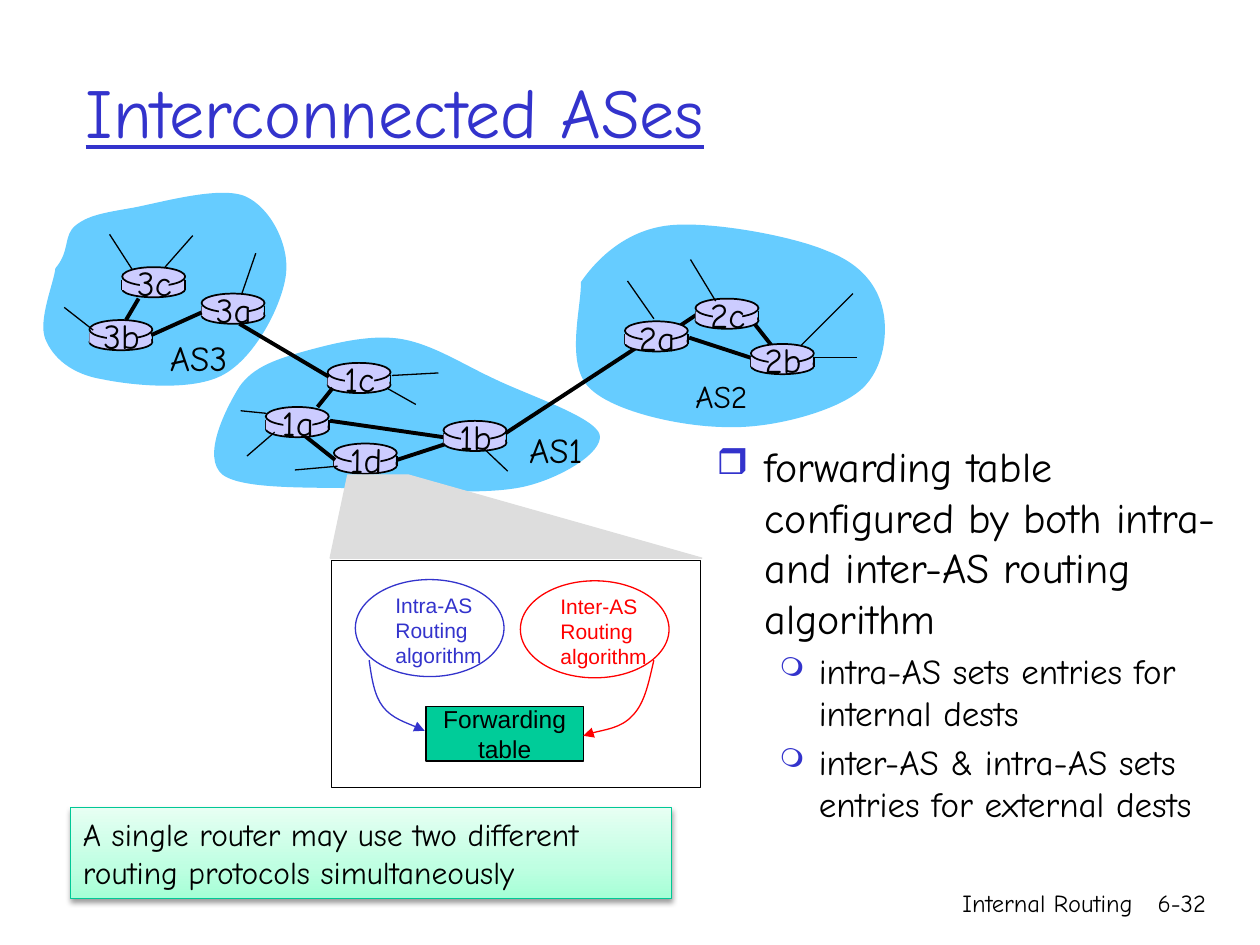
import copy

import pptx
import pptx.dml.color
import pptx.enum.shapes
import pptx.enum.text
import pptx.oxml
import pptx.oxml.ns
import pptx.util
from lxml import etree

RGB = pptx.dml.color.RGBColor
BLACK = RGB(0, 0, 0)
BLUE = RGB(0x33, 0x33, 0xCC)
RED = RGB(0xFF, 0, 0)
SKY = RGB(0x66, 0xCC, 0xFF)
LILAC = RGB(0xCC, 0xCC, 0xFF)
GREY = RGB(0xDD, 0xDD, 0xDD)
GREEN = RGB(0, 0xCC, 0x99)
EDGE = RGB(0, 0xC8, 0x96)
MINT = ((0, RGB(0xA5, 0xFF, 0xD6)), (0.35, RGB(0xBF, 0xFF, 0xE2)),
        (1, RGB(0xE7, 0xFF, 0xF3)))

SCALE = 9144  # EMU in one px, 100 px to the inch
HAND, SANS = "Comic Neue", "Arial"
SHAPE = pptx.enum.shapes.MSO_SHAPE
ALIGN = pptx.enum.text.PP_ALIGN
MIDDLE = pptx.enum.text.MSO_ANCHOR.MIDDLE
qn = pptx.oxml.ns.qn


def px(*nums):
    return [num * SCALE for num in nums]


def add(parent, tag, **attrs):
    return etree.SubElement(parent, qn(tag), {k: str(v) for k, v in attrs.items()})


def write(frame, text, size=20, color=BLACK, font=HAND, align=ALIGN.LEFT,
          under=False, bullet=None, scale=100, indent=(0, 0), before=0):
    """Add each line of the text as a paragraph."""
    for line in text.split("\n"):
        para = frame.add_paragraph() if frame.text else frame.paragraphs[0]
        para.alignment = align
        para.space_before = pptx.util.Pt(before)
        run = para.add_run()
        run.text = line
        run.font.size = pptx.util.Pt(size)
        run.font.name = font
        run.font.color.rgb = color
        run.font.underline = under
        if bullet:
            props = para._p.get_or_add_pPr()
            left, first = px(*indent)
            props.set("marL", str(left))
            props.set("indent", str(first))
            add(add(props, "a:buClr"), "a:srgbClr", val=BLUE)
            add(props, "a:buSzPct", val=scale * 1000)
            add(props, "a:buChar", char=bullet)


class Board:
    def __init__(self, slide):
        self.slide = slide
        self.shapes = slide.shapes

    def paint(self, shape, fill, line, width):
        shape.shadow.inherit = False
        if fill is None:
            shape.fill.background()
        else:
            shape.fill.solid()
            shape.fill.fore_color.rgb = fill
        if line is None:
            shape.line.fill.background()
        else:
            shape.line.color.rgb = line
            shape.line.width = pptx.util.Pt(width)
        return shape

    def title(self, text, box):
        shape = self.shapes.title
        shape.left, shape.top, shape.width, shape.height = px(*box)
        shape.text_frame.vertical_anchor = MIDDLE
        write(shape.text_frame, text, size=40, color=BLUE, under=True)

    def label(self, text, box, wrap=False, **style):
        frame = self.shapes.add_textbox(*px(*box)).text_frame
        frame.word_wrap = wrap
        write(frame, text, **style)
        return frame

    def form(self, kind, box, fill=None, line=None, width=0.75):
        return self.paint(self.shapes.add_shape(kind, *px(*box)), fill, line, width)

    def line(self, x1, y1, x2, y2, width=0.75):
        link = self.shapes.add_connector(
            pptx.enum.shapes.MSO_CONNECTOR.STRAIGHT, *px(x1, y1, x2, y2))
        link.line.color.rgb = BLACK
        link.line.width = pptx.util.Pt(width)
        add(link._element.spPr, "a:effectLst")

    def trace(self, points, fill=None, line=None, curve=False, arrow=False):
        """Draw an outline; a curve takes its points as cubic triples."""
        pen = self.shapes.build_freeform(*points[0], scale=SCALE)
        pen.add_line_segments(points[1:], close=fill is not None)
        shape = self.paint(pen.convert_to_shape(), fill, line, 0.75)
        if curve:
            steps = list(shape._element.iter(qn("a:lnTo")))
            for i in range(0, len(points) - 1, 3):
                bend = pptx.oxml.parse_xml(
                    f'<a:cubicBezTo {pptx.oxml.ns.nsdecls("a")}/>')
                steps[i].addprevious(bend)
                for step in steps[i:i + 3]:
                    bend.append(step[0])
                    step.getparent().remove(step)
        if arrow:
            add(shape.line._get_or_add_ln(), "a:tailEnd", type="triangle")

    def router(self, name, x, y):
        self.form(SHAPE.OVAL, (x, y + 11, 50, 13), LILAC, BLACK, 1)
        for side in (x, x + 50):
            self.line(side, y + 10, side, y + 18, 1)
        self.form(SHAPE.RECTANGLE, (x, y + 10, 49, 8), LILAC)
        self.form(SHAPE.OVAL, (x, y, 50, 15), LILAC, BLACK, 1)
        self.form(SHAPE.RECTANGLE, (x + 14, y + 2, 23, 19), LILAC)
        self.label(name, (x, y - 9, 51, 43), align=ALIGN.CENTER)

    def note(self, text, box):
        shape = self.form(SHAPE.RECTANGLE, box, LILAC, EDGE)
        shape.fill.gradient()
        shape.fill.gradient_angle = 90
        stops = next(shape._element.iter(qn("a:gsLst")))
        stops.append(copy.deepcopy(stops[0]))
        for stop, (place, color) in zip(shape.fill.gradient_stops, MINT):
            stop.position = place
            stop.color.rgb = color
        glow = add(shape._element.spPr.find(qn("a:effectLst")), "a:outerShdw",
                   blurRad=39370, dist=20320, dir=5400000, rotWithShape=0)
        add(add(glow, "a:srgbClr", val=BLACK), "a:alpha", val=38000)
        shape.text_frame.word_wrap = True
        write(shape.text_frame, text, size=18)


CLOUDS = (
    # AS2
    [(461, 224), (474, 205), (497, 183), (530, 179), (562, 175), (628, 187),
     (656, 199), (685, 210), (697, 228), (701, 247), (705, 266), (701, 297),
     (680, 312), (660, 327), (613, 340), (578, 339), (542, 339), (487, 327),
     (468, 308), (448, 289), (462, 242), (461, 224)],
    # AS3
    [(44, 213), (56, 199), (50, 187), (60, 179), (70, 171), (82, 169),
     (105, 165), (127, 161), (175, 147), (195, 156), (215, 165), (230, 195),
     (227, 218), (224, 242), (203, 283), (178, 297), (154, 311), (105, 306),
     (81, 301), (57, 297), (42, 284), (36, 269), (30, 254), (43, 224), (44, 213)],
    # AS1
    [(190, 307), (201, 291), (220, 285), (241, 279), (263, 273), (293, 265),
     (318, 269), (343, 273), (367, 289), (393, 301), (420, 314), (472, 331),
     (476, 345), (479, 359), (446, 379), (417, 386), (387, 393), (339, 389),
     (299, 388), (259, 386), (195, 390), (177, 377), (159, 363), (180, 323),
     (190, 307)],
)
BACK = (("3b", 71, 254), ("1d", 265, 352), ("3a", 160, 233), ("1c", 260, 288))
FRONT = (("2a", 496, 255), ("1a", 211, 323), ("2c", 552, 237),
         ("2b", 596, 273), ("1b", 352, 334), ("3c", 97, 212))
LINKS = (
    (547, 268, 596, 284), (598, 256, 613, 275), (536, 261, 554, 249),
    (315, 365, 358, 351), (242, 346, 266, 365), (262, 334, 352, 347),
    (252, 323, 264, 308), (120, 266, 160, 248), (190, 257, 261, 299),
    (401, 344, 505, 276), (110, 237, 100, 254))
STUBS = (
    (51, 244, 74, 262), (153, 187, 131, 212), (87, 186, 105, 214),
    (203, 201, 192, 233), (645, 284, 680, 284), (636, 274, 677, 233),
    (568, 239, 548, 206), (519, 253, 498, 223), (218, 343, 196, 362),
    (211, 328, 191, 326), (268, 370, 234, 373), (311, 298, 348, 296),
    (384, 356, 403, 374), (307, 308, 330, 321))


def main():
    deck = pptx.Presentation()
    deck.slide_width, deck.slide_height = px(1000, 750)
    board = Board(deck.slides.add_slide(deck.slide_layouts[5]))
    board.title("Interconnected ASes", (58, 25, 850, 125))

    # Bullets
    body = board.label(
        "forwarding table configured by both intra- and inter-AS routing algorithm",
        (559, 345, 417, 372), wrap=True, size=24, bullet="❒", scale=85,
        indent=(38, -38), before=5)
    write(body, "intra-AS sets entries for internal dests\n"
          "inter-AS & intra-AS sets entries for external dests",
          bullet="❍", scale=75, indent=(81, -31), before=4)

    # Footer
    for text, box in (("Internal Routing", (592, 700, 317, 50)),
                      ("6-32", (893, 700, 74, 50))):
        board.label(text, box, wrap=True, size=14, align=ALIGN.RIGHT)

    # Network
    for cloud in CLOUDS:
        board.trace(cloud, fill=SKY, curve=True)
    for spot in BACK:
        board.router(*spot)
    for link in LINKS:
        board.line(*link, width=2.25)
    for spot in FRONT:
        board.router(*spot)
    for stub in STUBS:
        board.line(*stub)
    for name, box, size in (("AS3", (125, 262, 77, 43), 20),
                            ("AS1", (410, 335, 72, 43), 20),
                            ("AS2", (542, 294, 71, 40), 18)):
        board.label(name, box, size=size)

    # Zoom into router 1d
    board.trace([(262, 443), (276, 377), (324, 377), (557, 443)], GREY, GREY)
    board.form(SHAPE.RECTANGLE, (263, 445, 293, 180), line=BLACK)
    for kind, x, y, color in (("Intra", 282, 460, BLUE), ("Inter", 413, 461, RED)):
        board.form(SHAPE.OVAL, (x, y, 118, 77), line=color)
        board.label(f"{kind}-AS\nRouting\nalgorithm", (x + 22, y + 5, 100, 70),
                    wrap=True, size=12, color=color, font=SANS)
    table = board.form(SHAPE.RECTANGLE, (338, 561, 125, 43), GREEN, BLACK)
    table.text_frame.word_wrap = False
    table.text_frame.vertical_anchor = MIDDLE
    write(table.text_frame, "Forwarding\ntable", size=14, font=SANS,
          align=ALIGN.CENTER)
    board.trace([(293, 524), (295, 538), (297, 552), (304, 561), (311, 570),
                 (331, 577), (337, 580)], line=BLUE, curve=True, arrow=True)
    board.trace([(519, 524), (515, 541), (512, 558), (502, 568), (493, 578),
                 (469, 581), (463, 584)], line=RED, curve=True, arrow=True)

    # Remark
    board.note("A single router may use two different routing protocols "
               "simultaneously", (56, 641, 477, 72))
    deck.save("out.pptx")


if __name__ == "__main__":
    main()
